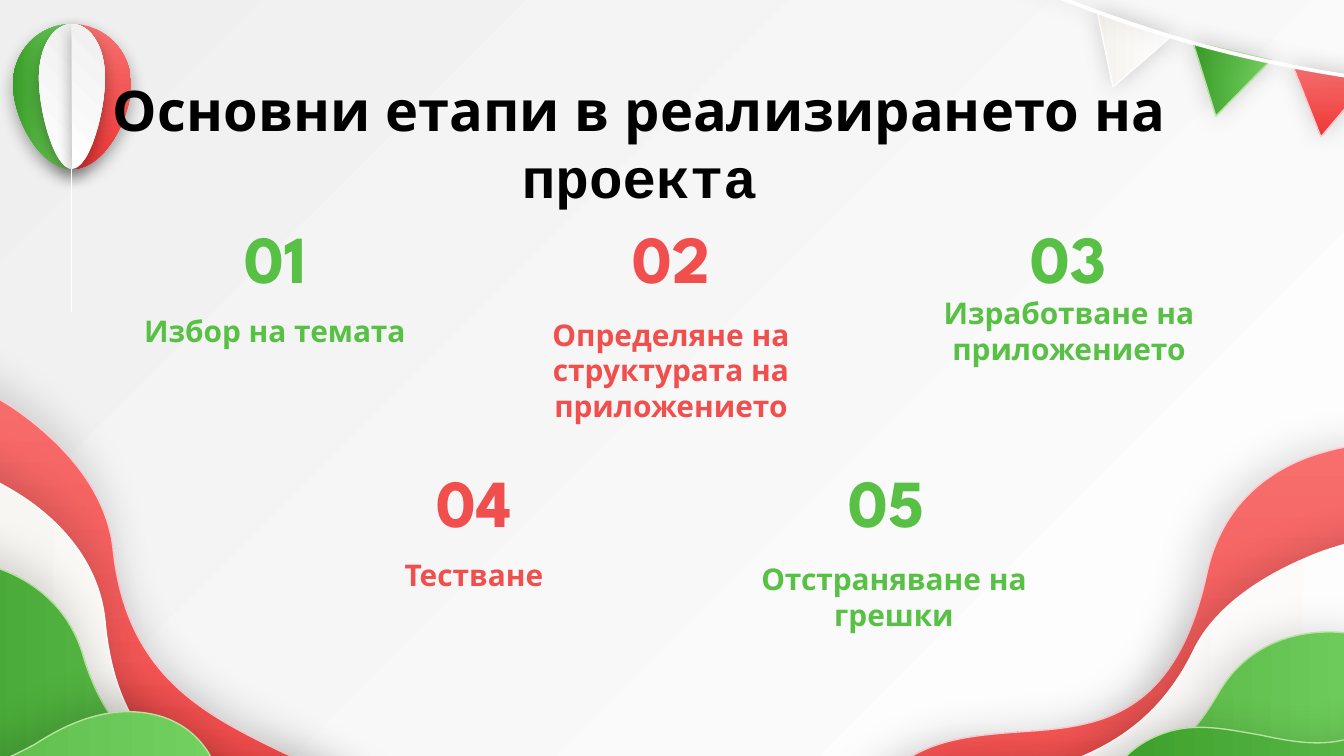
from lxml import etree
from pptx import Presentation
from pptx.dml.color import RGBColor
from pptx.enum.text import MSO_ANCHOR, PP_ALIGN
from pptx.oxml.ns import qn
from pptx.util import Pt

MIDDLE, TOP = MSO_ANCHOR.MIDDLE, MSO_ANCHOR.TOP
CENTER = PP_ALIGN.CENTER
WIDTH, HEIGHT = 1344, 756
SCALE = 9144000 / WIDTH
GREEN, RED = "58C044", "F14F4E"
FONT = "League Spartan"

# Start colour, end colour, clockwise angle, outline
PAINTS = {
    "green": ("75D362", "3A9C28", 180, "B9E1A2"),
    "red": ("F7706F", "ED3736", 90, "FFCDD2"),
    "white": ("FFFFFF", "F5F2EE", 180, "FFFFFF"),
    "silver": ("FFFFFF", "EFEFEF", 315, "FFFFFF"),
}
# Opacity %, blur pt, distance pt, direction
LEFT_SHADOW = (15, 22.5, 7.5, 259)
RIGHT_SHADOW = (15, 22.5, 7.5, 180)
FLAG_SHADOW = (16, 12.4, 0, 0)
BALLOON_SHADOW = (35, 9, 3.8, 90)

WAVE = "CCCCLCC"
LEFT_RED = [
    (113, 548), (126, 677), (206, 715), (284, 753), (324, 770), (363, 789), (394, 820),
    (496, 919), (415, 996), (360, 986), (190, 958), (-199, 499), (-199, 499), (-133, 364),
    (-110, 352), (-46, 370), (12, 407), (62, 441), (106, 489), (113, 548)]
LEFT_WHITE = [
    (105, 621), (117, 755), (194, 784), (270, 812), (308, 825), (347, 840), (376, 867),
    (474, 957), (395, 1048), (341, 1047), (176, 1040), (-199, 612), (-199, 612), (-132, 461),
    (-109, 446), (-47, 456), (8, 488), (56, 515), (99, 560), (105, 621)]
LEFT_GREEN = [
    (82, 652), (114, 762), (177, 766), (241, 770), (273, 771), (304, 774), (332, 789),
    (422, 840), (379, 938), (337, 950), (211, 988), (-151, 724), (-151, 724), (-128, 579),
    (-113, 560), (-65, 552), (-16, 564), (26, 575), (66, 602), (82, 652)]
LEFT_FRONT = [
    (-164, 728), (-78, 804), (-23, 774), (34, 745), (60, 728), (89, 714), (121, 712),
    (224, 707), (239, 814), (210, 847), (122, 946), (-324, 911), (-324, 911), (-380, 777),
    (-378, 753), (-340, 720), (-294, 706), (-253, 692), (-203, 694), (-164, 728)]
RIGHT_RED = [
    (1207, 573), (1175, 720), (1097, 727), (1019, 732), (980, 735), (941, 738), (909, 758),
    (800, 828), (862, 960), (914, 976), (1073, 1027), (1500, 667), (1500, 667), (1460, 472),
    (1441, 446), (1379, 435), (1321, 453), (1270, 468), (1222, 504), (1207, 573)]
RIGHT_WHITE = [
    (1195, 648), (1148, 747), (1067, 766), (986, 785), (946, 796), (907, 805), (871, 824),
    (753, 890), (804, 958), (855, 957), (1015, 956), (1486, 646), (1486, 646), (1465, 535),
    (1447, 524), (1386, 530), (1324, 551), (1270, 571), (1218, 603), (1195, 648)]
RIGHT_GREEN = [
    (1219, 692), (1163, 790), (1103, 778), (1046, 766), (1016, 761), (986, 754), (957, 762),
    (863, 789), (879, 895), (914, 918), (1021, 985), (1415, 820), (1415, 820), (1427, 673),
    (1418, 652), (1375, 632), (1329, 632), (1288, 632), (1245, 648), (1219, 692)]

# Number, caption, colour, left, top, number indent, caption drop, caption height
STAGES = [
    ("01", "Избор на темата", GREEN, 85, 210, 118, 82, 78),
    ("02", "Определяне на структурата на приложението", RED, 481, 210, 118, 103, 114),
    ("03", "Изработване на приложението", GREEN, 879, 210, 117, 82, 78),
    ("04", "Тестване", RED, 284, 454, 118, 82, 78),
    ("05", "Отстраняване на грешки", GREEN, 704, 454, 110, 104, 78),
]


def px(length):
    return round(length * SCALE)


def color(hex_value):
    return RGBColor.from_string(hex_value)


def paint_gradient(fill, start, end, angle):
    fill.gradient()
    fill.gradient_angle = 360 - angle
    for stop, hex_value in zip(fill.gradient_stops, (start, end)):
        stop.color.rgb = color(hex_value)


def cast_shadow(shape, opacity, blur, distance, direction):
    effects = shape.element.spPr.find(qn("a:effectLst"))
    outer = etree.SubElement(effects, qn("a:outerShdw"), blurRad=str(int(Pt(blur))),
                             dist=str(int(Pt(distance))), dir=str(direction * 60000),
                             algn="bl", rotWithShape="0")
    black = etree.SubElement(outer, qn("a:srgbClr"), val="000000")
    etree.SubElement(black, qn("a:alpha"), val=str(opacity * 1000))


def draw_outline(slide, origin, points, segments, close=True):
    """Trace points as C (cubic curve, three points) and L (line) segments."""
    start, *rest = [(px(origin[0] + x), px(origin[1] + y)) for x, y in points]
    builder = slide.shapes.build_freeform(*start, scale=1.0)
    builder.add_line_segments(rest, close=close)
    shape = builder.convert_to_shape()
    shape.shadow.inherit = False
    steps = iter(list(shape.element.iter(qn("a:lnTo"))))
    for segment in segments:
        first = next(steps)
        if segment == "C":
            first.tag = qn("a:cubicBezTo")
            for _ in range(2):
                step = next(steps)
                first.append(step[0])
                step.getparent().remove(step)
    return shape


def draw_panel(slide, origin, points, segments, paint, shadow, outlined=True):
    shape = draw_outline(slide, origin, points, segments)
    start, end, angle, edge = PAINTS[paint]
    paint_gradient(shape.fill, start, end, angle)
    if outlined:
        shape.line.color.rgb = color(edge)
        shape.line.width = Pt(0.75)
    else:
        shape.line.fill.background()
    cast_shadow(shape, *shadow)


def add_waves(slide, left, top):
    for points, paint, shadow, dx, dy in (
            (LEFT_RED, "red", LEFT_SHADOW, 0, 0),
            (RIGHT_RED, "red", RIGHT_SHADOW, 0, 0),
            (RIGHT_WHITE, "white", RIGHT_SHADOW, 0, 0),
            (RIGHT_GREEN, "green", RIGHT_SHADOW, 0, 0),
            (RIGHT_GREEN, "green", RIGHT_SHADOW, 214, -31),
            (LEFT_WHITE, "white", LEFT_SHADOW, 0, 0),
            (LEFT_GREEN, "green", LEFT_SHADOW, 0, 0),
            (LEFT_FRONT, "green", LEFT_SHADOW, 0, 0)):
        draw_panel(slide, (left + dx, top + dy), points, WAVE, paint, shadow)


def add_bunting(slide, left, top):
    for paint, flag in (("white", [(154, 11), (229, 36), (170, 87)]),
                        ("green", [(250, 42), (328, 60), (273, 116)]),
                        ("red", [(350, 66), (428, 78), (378, 137)])):
        draw_panel(slide, (left, top), flag, "LL", paint, FLAG_SHADOW)
    rope = draw_outline(slide, (left, top), [
        (0, -55), (100, -5), (205, 35), (314, 59), (421, 83), (531, 94), (640, 93)],
        "CC", close=False)
    rope.fill.background()
    rope.line.color.rgb = color("FFFFFF")
    rope.line.width = Pt(2)
    cast_shadow(rope, *FLAG_SHADOW)


def add_balloon(slide, left, top, width, height):
    middle = width // 2
    origin = (left + middle, top)
    for paint, reach, waist, bulge, rise in (
            ("green", -middle, 60, -33, 27), ("red", middle, 60, 33, 27),
            ("silver", -33, 54, -18, 22), ("silver", 33, 54, 18, 22)):
        gore = [(reach, waist), (reach, waist + 33), (bulge, height), (0, height),
                (0, 0), (bulge, 0), (reach, rise), (reach, waist)]
        draw_panel(slide, origin, gore, "CLC", paint, BALLOON_SHADOW, outlined=False)
    string = draw_outline(slide, origin, [
        (-1, height), (-1, height + 143), (0, height + 143), (0, height)], "LLL")
    string.fill.solid()
    string.fill.fore_color.rgb = color("FFFFFF")
    string.line.fill.background()


def add_text(slide, box, runs, size, hex_value, anchor=MIDDLE):
    """Write centred bold runs, each a (text, font) pair."""
    frame = slide.shapes.add_textbox(*map(px, box)).text_frame
    settings = {"word_wrap": True, "vertical_anchor": anchor}
    settings.update({f"margin_{side}": px(13) for side in ("left", "top", "right", "bottom")})
    for name, value in settings.items():
        setattr(frame, name, value)
    paragraph = frame.paragraphs[0]
    paragraph.alignment = CENTER
    for text, font_name in runs:
        run = paragraph.add_run()
        run.text = text
        for name, value in {"name": font_name, "size": Pt(size), "bold": True}.items():
            setattr(run.font, name, value)
        run.font.color.rgb = color(hex_value)


def add_stage(slide, number, caption, hex_value, left, top, indent, drop, height):
    add_text(slide, (left, top + drop, 380, height), [(caption, FONT)], 16, hex_value)
    add_text(slide, (left + indent, top, 145, 94), [(number, FONT)], 36, hex_value)


def main():
    deck = Presentation()
    deck.slide_width, deck.slide_height = px(WIDTH), px(HEIGHT)
    slide = deck.slides.add_slide(deck.slide_layouts[6])
    paint_gradient(slide.background.fill, "FFFFFF", "EFEFEF", 225)
    add_waves(slide, 0, 0)
    add_bunting(slide, 943, 0)
    for stage in STAGES:
        add_stage(slide, *stage)
    add_balloon(slide, 13, 24, 118, 145)
    add_text(slide, (73, 62, 1133, 103),
             [("Основни етапи в реализирането на ", FONT), ("проекта", "Courier New")],
             30, "000000", TOP)
    deck.save("out.pptx")


if __name__ == "__main__":
    main()
